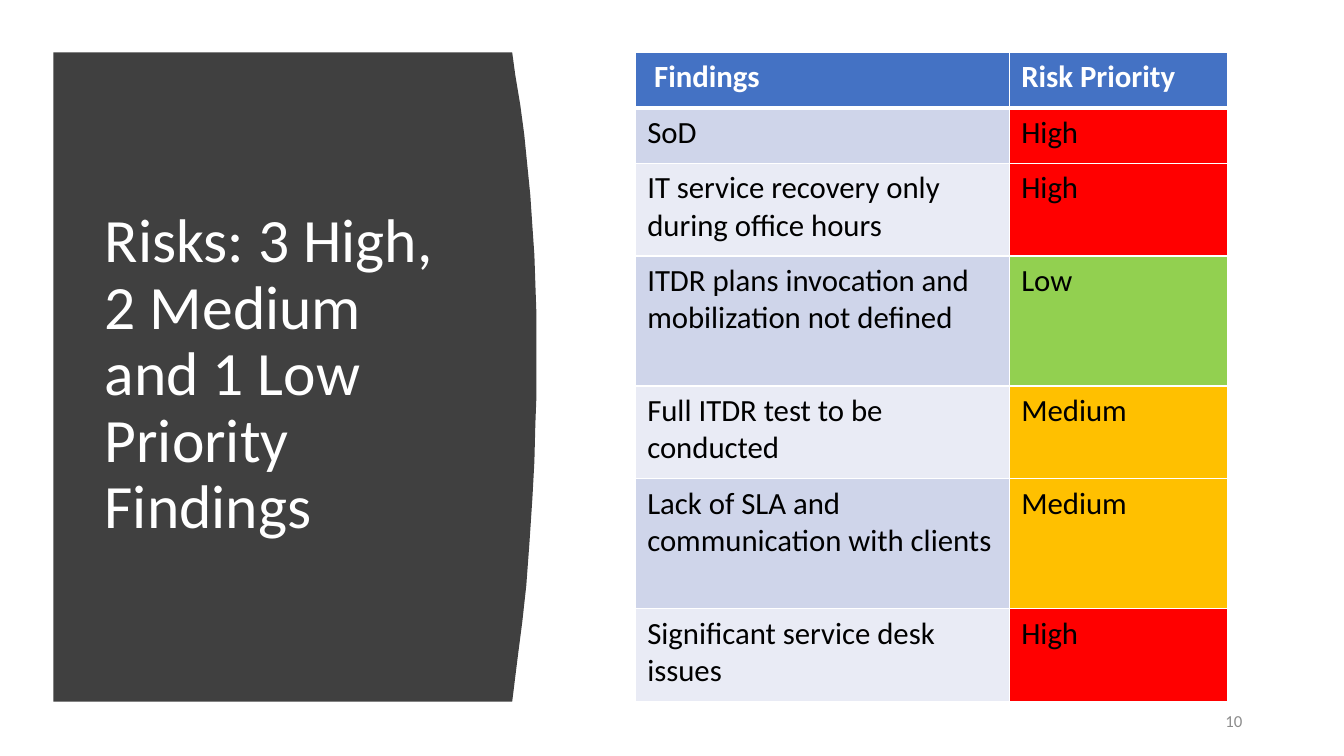
from dataclasses import dataclass

from lxml import etree
from pptx import Presentation
from pptx import util as u
from pptx.dml.color import RGBColor
from pptx.enum import text
from pptx.oxml import ns

PX = 9144  # EMU in one px, 100 px to the inch


@dataclass(frozen=True)
class Theme:
    font: str = "Calibri"
    white: str = "FFFFFF"
    black: str = "000000"
    panel: str = "404040"
    header: str = "4472C4"
    bands: tuple = ("CFD5EA", "E9EBF5")
    muted: str = "8C8C8C"
    title_size: int = 44
    table_size: int = 22
    number_size: int = 12


THEME = Theme()
PRIORITY_FILLS = {"High": "FF0000", "Medium": "FFC000", "Low": "92D050"}

PANEL_LEFT, PANEL_TOP, PANEL_BOTTOM = 53, 52, 696
# Points (x, y) down the bulging right side of the panel
PANEL_EDGE = [
    (508, 52), (511, 74), (516, 104), (520, 134), (523, 164), (526, 194),
    (528, 224), (530, 253), (531, 282), (532, 311), (532, 394), (531, 420),
    (530, 458), (528, 495), (525, 540), (522, 581), (518, 617), (514, 648),
    (511, 672), (508, 696),
]

COLUMN_WIDTHS = [371, 217]
HEADINGS = [" Findings", "Risk Priority"]
HEADER_HEIGHT = 55
FINDINGS = [
    ("SoD", "High", 55),
    ("IT service recovery only during office hours", "High", 92),
    ("ITDR plans invocation and mobilization not defined", "Low", 129),
    ("Full ITDR test to be conducted", "Medium", 92),
    ("Lack of SLA and communication with clients", "Medium", 129),
    ("Significant service desk issues", "High", 92),
]


def rgb(color):
    return RGBColor.from_string(color)


def set_all(target, values):
    for name, value in values.items():
        setattr(target, name, value)


class SlideBuilder:
    def __init__(self, slide, theme):
        self.slide = slide
        self.theme = theme

    def add_words(self, frame, words, size, color, bold=False, **paragraph_format):
        paragraph = frame.paragraphs[0]
        set_all(paragraph, paragraph_format)
        run = paragraph.add_run()
        run.text = words
        set_all(run.font, {"name": self.theme.font, "size": u.Pt(size), "bold": bold})
        run.font.color.rgb = rgb(color)

    def text_box(self, box, words, size, color, **paragraph_format):
        frame = self.slide.shapes.add_textbox(*(n * PX for n in box)).text_frame
        set_all(frame, {"word_wrap": True, "vertical_anchor": text.MSO_ANCHOR.MIDDLE})
        self.add_words(frame, words, size, color, **paragraph_format)

    def outline(self, points, fill):
        builder = self.slide.shapes.build_freeform(*points[0], scale=PX)
        builder.add_line_segments(points[1:], close=True)
        panel = builder.convert_to_shape()
        panel.shadow.inherit = False
        panel.fill.solid()
        panel.fill.fore_color.rgb = rgb(fill)
        panel.line.fill.background()

    def border(self, cell, side, points):
        properties = cell._tc.get_or_add_tcPr()
        line = etree.SubElement(properties, ns.qn(f"a:ln{side}"), w=str(u.Pt(points)))
        fill = etree.SubElement(line, ns.qn("a:solidFill"))
        etree.SubElement(fill, ns.qn("a:srgbClr"), val=self.theme.white)

    def cell(self, cell, words, fill, color, bold=False, top=1, bottom=1):
        set_all(cell, {"margin_left": 12 * PX, "margin_right": 12 * PX,
                       "margin_top": 6 * PX, "margin_bottom": 6 * PX})
        # Borders come before the fill in the cell properties
        for side, points in {"L": 1, "R": 1, "T": top, "B": bottom}.items():
            self.border(cell, side, points)
        cell.fill.solid()
        cell.fill.fore_color.rgb = rgb(fill)
        self.add_words(cell.text_frame, words, self.theme.table_size, color, bold)

    def findings_table(self, left, top):
        heights = [HEADER_HEIGHT] + [height for _, _, height in FINDINGS]
        box = (left, top, sum(COLUMN_WIDTHS), sum(heights))
        table = self.slide.shapes.add_table(
            len(heights), len(COLUMN_WIDTHS), *(n * PX for n in box)).table
        table.horz_banding = False
        for column, width in zip(table.columns, COLUMN_WIDTHS):
            column.width = width * PX
        for row, height in zip(table.rows, heights):
            row.height = height * PX

        theme = self.theme
        for column, heading in enumerate(HEADINGS):
            self.cell(table.cell(0, column), heading, theme.header, theme.white,
                      bold=True, bottom=3)
        for row, (finding, priority, _) in enumerate(FINDINGS, 1):
            fills = (theme.bands[(row - 1) % 2], PRIORITY_FILLS[priority])
            for column, words in enumerate((finding, priority)):
                self.cell(table.cell(row, column), words, fills[column], theme.black,
                          top=3 if row == 1 else 1)


def main():
    deck = Presentation()
    set_all(deck, {"slide_width": 1333 * PX, "slide_height": 750 * PX})
    builder = SlideBuilder(deck.slides.add_slide(deck.slide_layouts[6]), THEME)

    builder.outline(
        [(PANEL_LEFT, PANEL_TOP), *PANEL_EDGE, (PANEL_LEFT, PANEL_BOTTOM)], THEME.panel)
    builder.text_box((94, 111, 374, 524),
                     "Risks: 3 High, 2 Medium and 1 Low Priority Findings",
                     THEME.title_size, THEME.white, line_spacing=0.9)
    builder.text_box((1173, 695, 69, 40), "10", THEME.number_size, THEME.muted,
                     alignment=text.PP_ALIGN.RIGHT, space_after=u.Pt(6))
    builder.findings_table(630, 52)
    deck.save("out.pptx")


if __name__ == "__main__":
    main()
